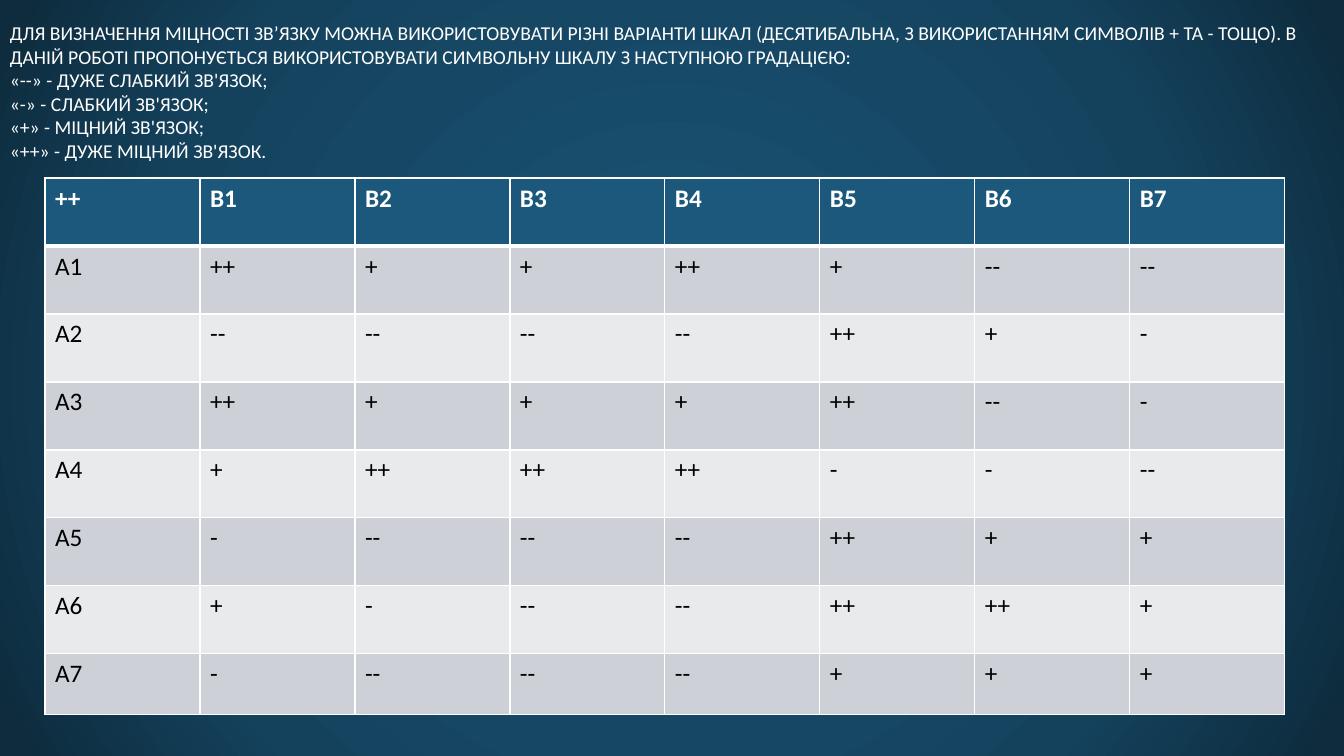
from lxml import etree
from pptx import Presentation
from pptx.dml.color import RGBColor
from pptx.enum.text import MSO_ANCHOR
from pptx.oxml import parse_xml
from pptx.oxml.ns import qn
from pptx.util import Pt

TOP = MSO_ANCHOR.TOP
FONT = "Calibri"
WHITE, BLACK = "FFFFFF", "000000"
HEADER_FILL = "1B587C"
BAND_FILLS = ["E8EAEC", "CDD1D7"]
BACKGROUND_STOPS = [(0, "184E6E"), (23, "184E6E"), (69, "14425D"), (97, "0E2C3E")]

INTRO = [
    "ДЛЯ ВИЗНАЧЕННЯ МІЦНОСТІ ЗВ’ЯЗКУ МОЖНА ВИКОРИСТОВУВАТИ РІЗНІ ВАРІАНТИ ШКАЛ "
    "(ДЕСЯТИБАЛЬНА, З ВИКОРИСТАННЯМ СИМВОЛІВ + ТА - ТОЩО). В ДАНІЙ РОБОТІ "
    "ПРОПОНУЄТЬСЯ ВИКОРИСТОВУВАТИ СИМВОЛЬНУ ШКАЛУ З НАСТУПНОЮ ГРАДАЦІЄЮ:",
    "«--» - ДУЖЕ СЛАБКИЙ ЗВ'ЯЗОК;",
    "«-» - СЛАБКИЙ ЗВ'ЯЗОК;",
    "«+» - МІЦНИЙ ЗВ'ЯЗОК;",
    "«++» - ДУЖЕ МІЦНИЙ ЗВ'ЯЗОК.",
]
RELATIONS = [
    ["++", "B1", "B2", "B3", "B4", "B5", "B6", "B7"],
    ["A1", "++", "+", "+", "++", "+", "--", "--"],
    ["A2", "--", "--", "--", "--", "++", "+", "-"],
    ["A3", "++", "+", "+", "+", "++", "--", "-"],
    ["A4", "+", "++", "++", "++", "-", "-", "--"],
    ["A5", "-", "--", "--", "--", "++", "+", "+"],
    ["A6", "+", "-", "--", "--", "++", "++", "+"],
    ["A7", "-", "--", "--", "--", "+", "+", "+"],
]
COLUMN_WIDTH, ROW_HEIGHT, LAST_ROW_HEIGHT = 155, 68, 61


def px(length):
    return round(length * 914400 / 100.8)


def color(value):
    return RGBColor.from_string(value)


def add_span(para, text, size, fill, bold=False):
    span = para.add_run()
    span.text = text
    span.font.name = FONT
    span.font.size = Pt(size)
    span.font.bold = bold
    span.font.color.rgb = color(fill)


def paint_background(page):
    fill = page.background.fill
    fill.solid()
    stops = "".join(
        f'<a:gs pos="{place * 1000}"><a:srgbClr val="{value}"/></a:gs>'
        for place, value in BACKGROUND_STOPS
    )
    gradient = parse_xml(
        '<a:gradFill xmlns:a="http://schemas.openxmlformats.org/drawingml/2006/main" '
        f'rotWithShape="1"><a:gsLst>{stops}</a:gsLst><a:path path="circle">'
        '<a:fillToRect l="50000" t="50000" r="50000" b="50000"/></a:path></a:gradFill>'
    )
    solid = next(page._element.iter(qn("a:solidFill")))
    solid.getparent().replace(solid, gradient)


def set_borders(cell, top, bottom):
    properties = cell._tc.get_or_add_tcPr()
    for side, width in (("L", 1), ("R", 1), ("T", top), ("B", bottom)):
        line = etree.SubElement(properties, qn(f"a:ln{side}"), w=str(Pt(width)))
        solid = etree.SubElement(line, qn("a:solidFill"))
        etree.SubElement(solid, qn("a:srgbClr"), val=WHITE)


def add_intro(page):
    box = page.shapes.add_textbox(0, px(21), px(1344), px(142))
    frame = box.text_frame
    frame.word_wrap = True
    frame.vertical_anchor = TOP
    frame.margin_top = frame.margin_bottom = 0
    for index, text in enumerate(INTRO):
        para = frame.add_paragraph() if index else frame.paragraphs[0]
        add_span(para, text, 14, WHITE)


def add_relations(page):
    row_count, column_count = len(RELATIONS), len(RELATIONS[0])
    heights = [ROW_HEIGHT] * (row_count - 1) + [LAST_ROW_HEIGHT]
    table = page.shapes.add_table(
        row_count, column_count, px(45), px(178),
        px(COLUMN_WIDTH * column_count), px(sum(heights)),
    ).table
    for column in table.columns:
        column.width = px(COLUMN_WIDTH)
    for index, values in enumerate(RELATIONS):
        header = index == 0
        table.rows[index].height = px(heights[index])
        for position, value in enumerate(values):
            cell = table.cell(index, position)
            set_borders(cell, 3 if index == 1 else 1, 3 if header else 1)
            cell.fill.solid()
            cell.fill.fore_color.rgb = color(HEADER_FILL if header else BAND_FILLS[index % 2])
            add_span(cell.text_frame.paragraphs[0], value, 18, WHITE if header else BLACK, header)


def main():
    deck = Presentation()
    deck.slide_width, deck.slide_height = px(1344), px(756)
    page = deck.slides.add_slide(deck.slide_layouts[6])
    paint_background(page)
    add_intro(page)
    add_relations(page)
    deck.save("out.pptx")


if __name__ == "__main__":
    main()
